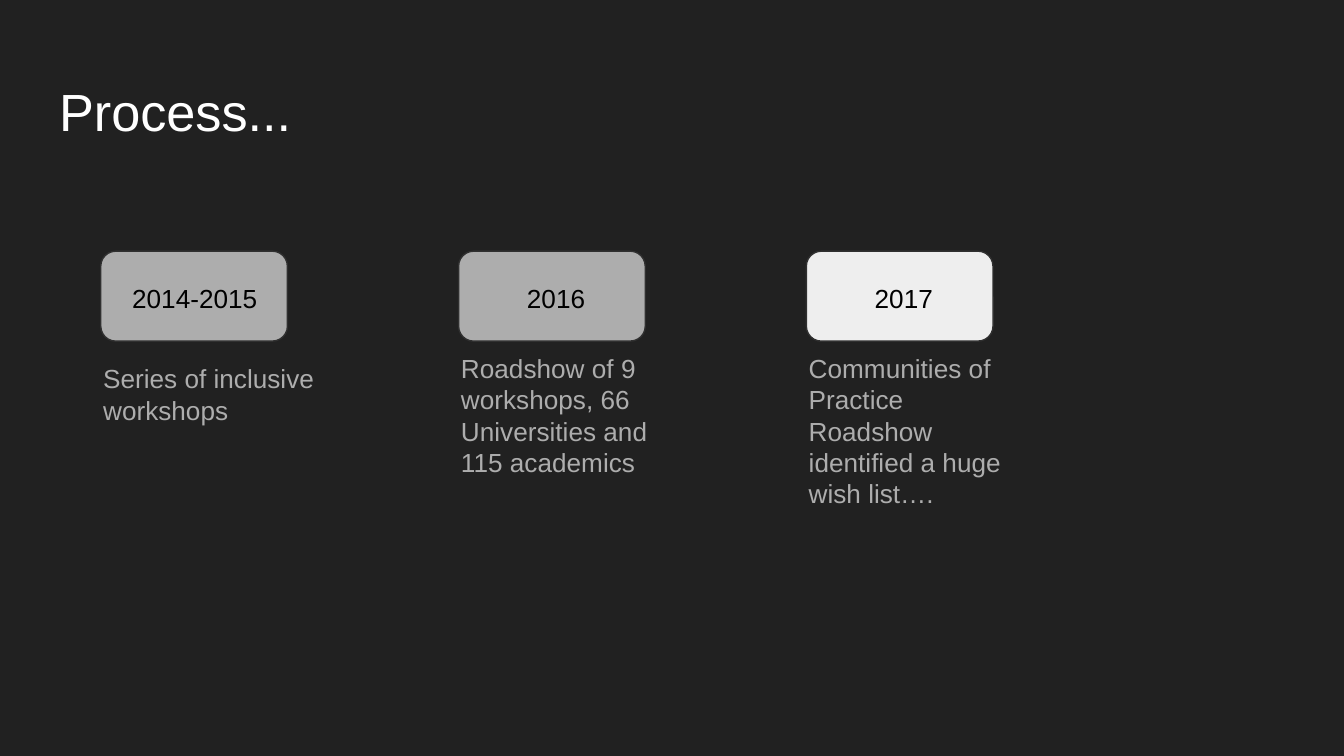
"""Build a slide with three dated steps of a process."""
from pptx import Presentation
from pptx.dml.color import RGBColor as RGB
from pptx.enum.shapes import MSO_SHAPE as Shape
from pptx.enum.text import MSO_ANCHOR as Anchor, MSO_AUTO_SIZE as Fit, PP_ALIGN as Align
from pptx.util import Pt

DARK = RGB(0x21, 0x21, 0x21)
EDGE = RGB(0x30, 0x30, 0x30)
GRAY = RGB(0xAD, 0xAD, 0xAD)
PALE = RGB(0xEE, 0xEE, 0xEE)
WHITE = RGB(255, 255, 255)
BLACK = RGB(0, 0, 0)

STEPS = [
    (54, GRAY, "2014-2015", Align.LEFT, 187.2, 127.4,
     "Series of inclusive workshops"),
    (245.7, GRAY, "2016", Align.CENTER, 181.5, 134.6,
     "Roadshow of 9 workshops, 66 Universities and 115 academics"),
    (432, PALE, "2017", Align.CENTER, 181.5, 134.6,
     "Communities of Practice\nRoadshow identified a huge wish list…."),
]


def write(frame, text, size=14, color=BLACK, font="Arial", align=Align.LEFT):
    frame.text = text
    frame.word_wrap = True
    frame.auto_size = Fit.NONE
    frame.vertical_anchor = Anchor.TOP
    frame.margin_left = frame.margin_right = Pt(7.2)
    frame.margin_top = frame.margin_bottom = Pt(7.2)
    for para in frame.paragraphs:
        para.alignment = align
        para.font.size = Pt(size)
        para.font.name = font
        para.font.color.rgb = color


class Deck:
    def __init__(self, wide, high):
        self.show = Presentation()
        self.show.slide_width, self.show.slide_height = Pt(wide), Pt(high)
        self.slide = self.show.slides.add_slide(self.show.slide_layouts[5])
        fill = self.slide.background.fill
        fill.solid()
        fill.fore_color.rgb = DARK

    def title(self, text, x, y, w, h):
        head = self.slide.shapes.title
        head.left, head.top, head.width, head.height = map(Pt, (x, y, w, h))
        write(head.text_frame, text, size=28, color=WHITE)

    def card(self, x, y, w, h, color):
        card = self.slide.shapes.add_shape(
            Shape.ROUNDED_RECTANGLE, *map(Pt, (x, y, w, h)))
        card.shadow.inherit = False
        card.fill.solid()
        card.fill.fore_color.rgb = color
        card.line.color.rgb = EDGE
        card.line.width = Pt(0.75)

    def text(self, text, x, y, w, h, **style):
        box = self.slide.shapes.add_textbox(*map(Pt, (x, y, w, h)))
        write(box.text_frame, text, **style)


def main():
    deck = Deck(720, 405)
    deck.title("Process...", 24.5, 35.3, 671, 45.4)
    for x, color, year, align, top, wide, note in STEPS:
        deck.card(x, 134.6, 100, 48.2, color)
        deck.text(year, x + 9.7, 144, 85, 32.4, align=align)
        deck.text(note, x - 5.8, top, wide, 43.2, color=GRAY)
    deck.show.save("out.pptx")


if __name__ == "__main__":
    main()
